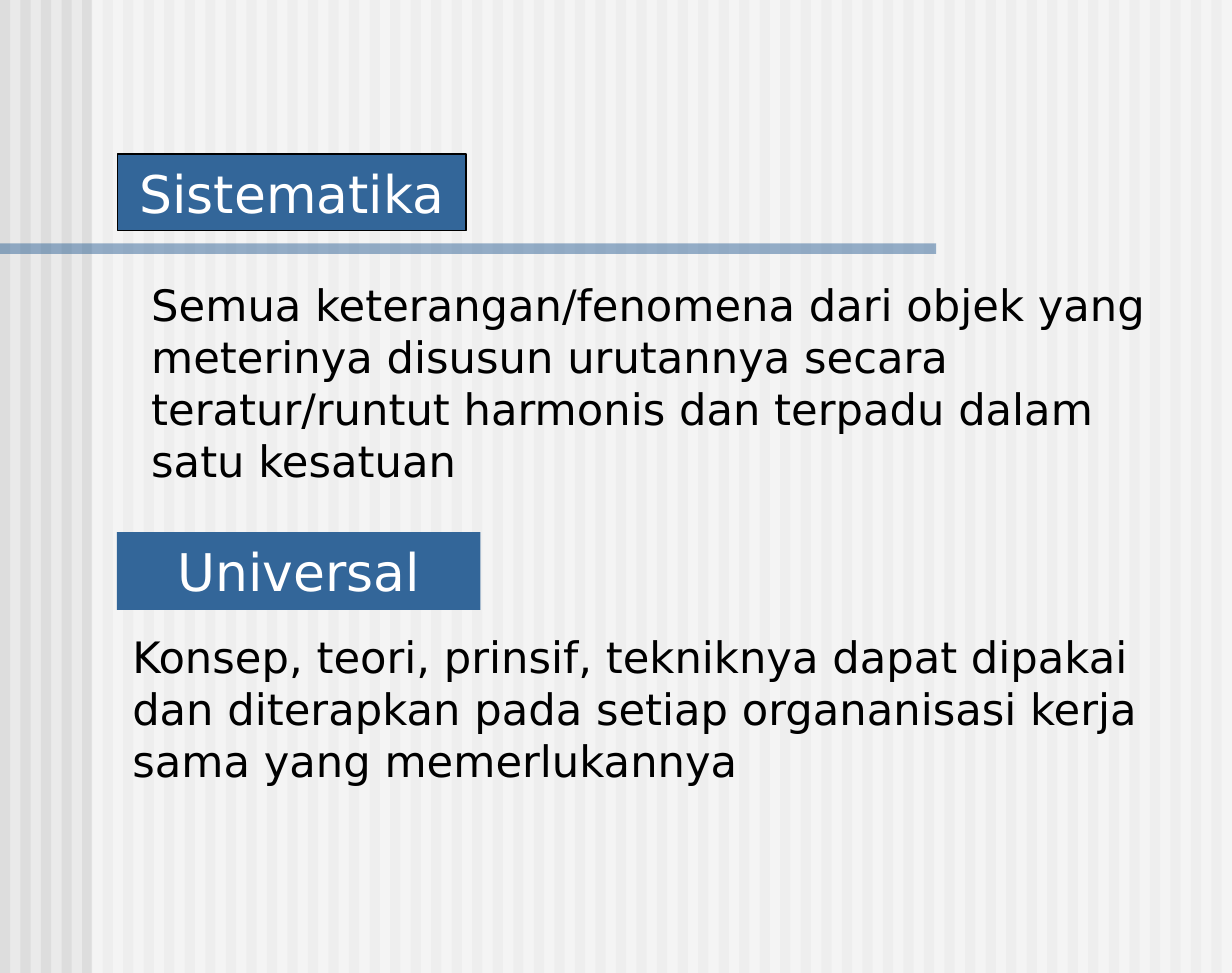
import pptx
import pptx.util
import pptx.dml.color
import pptx.enum.shapes
import pptx.enum.text
import pptx.oxml
import pptx.oxml.ns
import lxml.etree

BACKGROUND = pptx.dml.color.RGBColor(0xEA, 0xEA, 0xEA)
STRIPE_GREY = pptx.dml.color.RGBColor(0xDD, 0xDD, 0xDD)
WHITE = pptx.dml.color.RGBColor(0xFF, 0xFF, 0xFF)
BLUE = pptx.dml.color.RGBColor(0x33, 0x66, 0x99)
BLACK = pptx.dml.color.RGBColor(0, 0, 0)
STRIPES = 60

deck = pptx.Presentation()
deck.slide_width = pptx.util.Pt(570)
deck.slide_height = pptx.util.Pt(450)
width, height = deck.slide_width, deck.slide_height
pitch = width / STRIPES
slide = deck.slides.add_slide(deck.slide_layouts[1])
slide.background.fill.solid()
slide.background.fill.fore_color.rgb = BACKGROUND


def add_panel(left, top, wide, high, color, opacity=100):
    panel = slide.shapes.add_shape(
        pptx.enum.shapes.MSO_SHAPE.RECTANGLE, int(left), int(top), int(wide), int(high))
    panel.shadow.inherit = False
    panel.fill.solid()
    panel.fill.fore_color.rgb = color
    panel.line.fill.background()
    if opacity < 100:
        tint = panel.element.spPr.find(".//" + pptx.oxml.ns.qn("a:srgbClr"))
        alpha = lxml.etree.SubElement(tint, pptx.oxml.ns.qn("a:alpha"))
        alpha.set("val", str(opacity * 1000))
    return panel


def write(shape, text, size=20, color=BLACK, align="LEFT", anchor="TOP",
          side=0.1, edge=0.05, indent=0):
    frame = shape.text_frame
    frame.word_wrap = True
    frame.auto_size = pptx.enum.text.MSO_AUTO_SIZE.NONE
    frame.vertical_anchor = getattr(pptx.enum.text.MSO_ANCHOR, anchor)
    frame.margin_left = frame.margin_right = pptx.util.Inches(side)
    frame.margin_top = frame.margin_bottom = pptx.util.Inches(edge)
    paragraph = frame.paragraphs[0]
    paragraph.alignment = getattr(pptx.enum.text.PP_ALIGN, align)
    paragraph.space_before = pptx.util.Pt(0)
    properties = paragraph._p.get_or_add_pPr()
    properties.set("marL", str(pptx.util.Inches(indent)))
    properties.set("indent", "0")
    lxml.etree.SubElement(properties, pptx.oxml.ns.qn("a:buNone"))
    run = paragraph.add_run()
    run.text = text
    run.font.name = "DejaVu Sans"
    run.font.size = pptx.util.Pt(size)
    run.font.color.rgb = color


for column in range(STRIPES):
    add_panel(column * pitch, 0, pitch / 2, height, STRIPE_GREY)
add_panel(width * 0.0745, 0, width * 0.9255, height, WHITE, opacity=50)
add_panel(0, height * 0.25, width * 0.76, height * 0.011, BLUE, opacity=50)

systematic_heading = slide.shapes.title
systematic_text = slide.placeholders[1]
for placeholder, (left, top, wide, high) in (
        (systematic_heading, (0.0955, 0.158, 0.283, 0.079)),
        (systematic_text, (0.0735, 0.28, 0.887, 0.229))):
    placeholder.left, placeholder.width = int(width * left), int(width * wide)
    placeholder.top, placeholder.height = int(height * top), int(height * high)
    placeholder.element.getparent().append(placeholder.element)

systematic_heading.fill.solid()
systematic_heading.fill.fore_color.rgb = BLUE
systematic_heading.line.color.rgb = BLACK
systematic_heading.line.width = pptx.util.Pt(0.75)
write(systematic_heading, "Sistematika", size=24, color=WHITE, align="CENTER",
      anchor="BOTTOM", side=0.08, edge=0.04)
write(systematic_text,
      "Semua keterangan/fenomena dari objek yang meterinya disusun urutannya secara "
      "teratur/runtut harmonis dan terpadu dalam satu kesatuan",
      side=0.08, edge=0.04, indent=0.31)

universal_heading = add_panel(width * 0.095, height * 0.547, width * 0.295, height * 0.08, BLUE)
write(universal_heading, "Universal", size=24, color=WHITE, align="CENTER")
universal_text = slide.shapes.add_textbox(
    int(width * 0.095), int(height * 0.64), int(width * 0.853), int(height * 0.176))
write(universal_text,
      "Konsep, teori, prinsif, tekniknya dapat dipakai dan diterapkan pada setiap "
      "organanisasi kerja sama yang memerlukannya")

deck.save("out.pptx")
